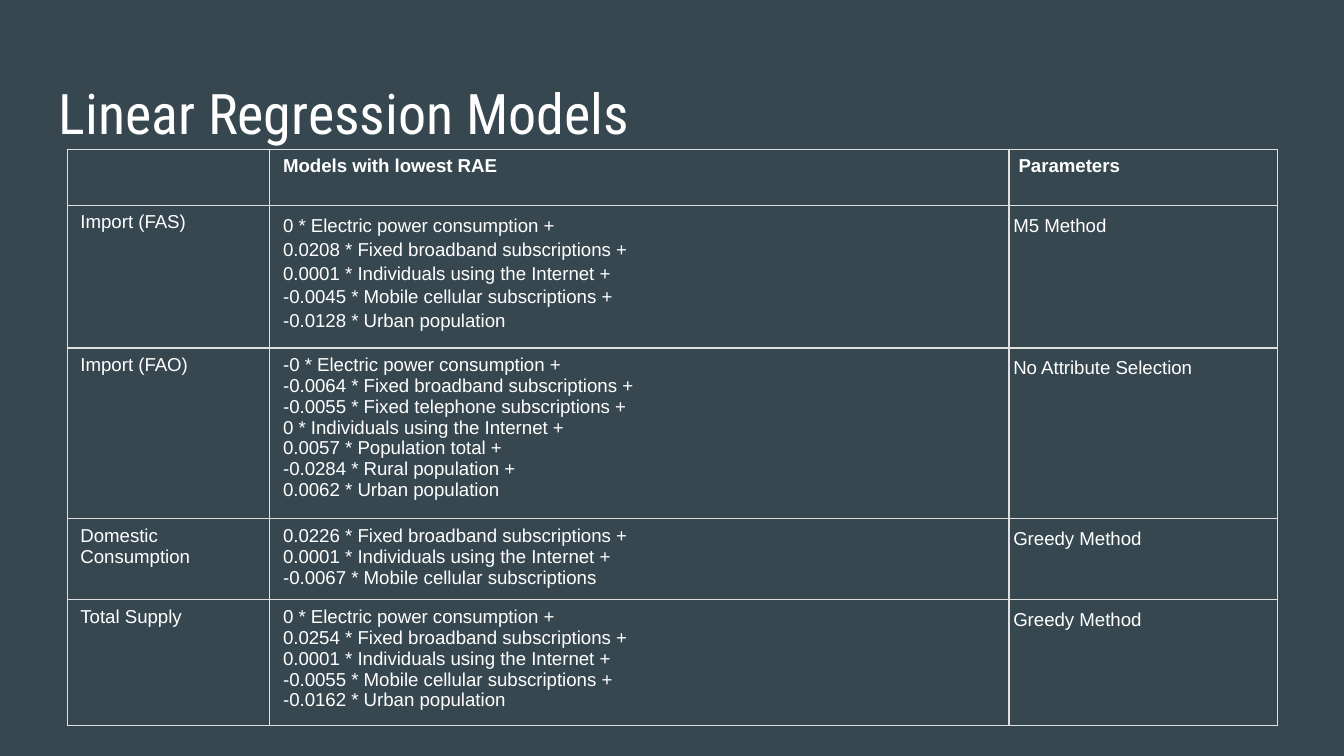
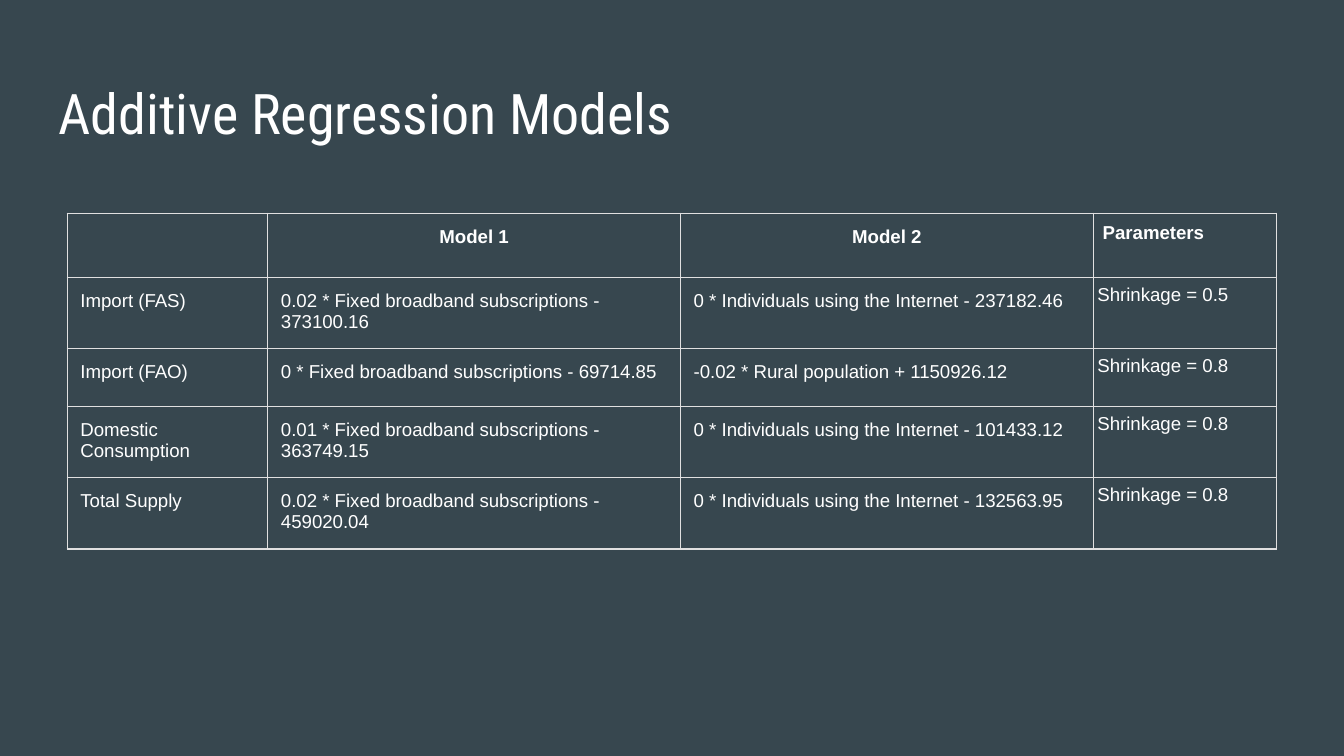
import pptx
import pptx.dml.color
import pptx.enum.text
import pptx.oxml
import pptx.oxml.ns
import pptx.util
from pptx.util import Cm, Pt

COLORS = {"background": "37474F", "text": "FFFFFF", "border": "E0E0E0"}
TITLE_FONT, BODY_FONT = "Roboto Condensed", "Arial"
ALIGN = pptx.enum.text.PP_ALIGN
ANCHOR = pptx.enum.text.MSO_ANCHOR

TABLE_LEFT = 1.27
WIDE_INSET, HEADER_INSET, NARROW_INSET = 0.25, 0.18, 0.08

# The last two columns of each table are merged into one "Parameters" column.
# Each cell is a string, or a list with one string per paragraph.
SLIDES = [
    {
        "title": "Linear Regression Models",
        "top": 2.82,
        "columns": [3.83, 13.97, 2.54, 2.54],
        "row_heights": [1.06] * 5,
        "vertical_inset": 0.13,
        "header_bottom": 0,
        "header_align": ALIGN.LEFT,
        "model_spacing": {"Import (FAS)": 1.15},
        "rows": [
            ["", "Models with lowest RAE", "Parameters"],
            ["Import (FAS)", [
                "0 * Electric power consumption +",
                "0.0208 * Fixed broadband subscriptions +",
                "0.0001 * Individuals using the Internet +",
                "-0.0045 * Mobile cellular subscriptions +",
                "-0.0128 * Urban population",
            ], "M5 Method"],
            ["Import (FAO)", [
                "-0 * Electric power consumption +",
                "-0.0064 * Fixed broadband subscriptions +",
                "-0.0055 * Fixed telephone subscriptions +",
                "0 * Individuals using the Internet +",
                "0.0057 * Population total +",
                "-0.0284 * Rural population +",
                "0.0062 * Urban population",
            ], "No Attribute Selection"],
            ["Domestic Consumption", [
                "0.0226 * Fixed broadband subscriptions +",
                "0.0001 * Individuals using the Internet +",
                "-0.0067 * Mobile cellular subscriptions",
            ], "Greedy Method"],
            ["Total Supply", [
                "0 * Electric power consumption +",
                "0.0254 * Fixed broadband subscriptions +",
                "0.0001 * Individuals using the Internet +",
                "-0.0055 * Mobile cellular subscriptions +",
                "-0.0162 * Urban population",
            ], "Greedy Method"],
        ],
    },
    {
        "title": "Additive Regression Models",
        "top": 4.03,
        "columns": [3.79, 7.8, 7.8, 0.91, 2.56],
        "row_heights": [1.21] + [1.09] * 4,
        "header_align": ALIGN.CENTER,
        "rows": [
            ["", "Model 1", "Model 2", "Parameters"],
            ["Import (FAS)", "0.02 * Fixed broadband subscriptions - 373100.16",
             "0 * Individuals using the Internet - 237182.46", "Shrinkage = 0.5"],
            ["Import (FAO)", "0 * Fixed broadband subscriptions - 69714.85",
             "-0.02 * Rural population + 1150926.12", "Shrinkage = 0.8"],
            ["Domestic Consumption", "0.01 * Fixed broadband subscriptions - 363749.15",
             "0 * Individuals using the Internet - 101433.12", "Shrinkage = 0.8"],
            ["Total Supply", "0.02 * Fixed broadband subscriptions - 459020.04",
             "0 * Individuals using the Internet - 132563.95", "Shrinkage = 0.8"],
        ],
    },
]


def color(name):
    return pptx.dml.color.RGBColor.from_string(COLORS[name])


def write_text(text_frame, text, *, size=10, font=BODY_FONT, bold=False,
               align=ALIGN.LEFT, spacing=None):
    lines = [text] if isinstance(text, str) else text
    for index, line in enumerate(lines):
        paragraph = text_frame.add_paragraph() if index else text_frame.paragraphs[0]
        paragraph.alignment = align
        if spacing:
            paragraph.line_spacing = spacing
        run = paragraph.add_run()
        run.text = line
        run.font.size = Pt(size)
        run.font.name = font
        run.font.bold = bold
        run.font.color.rgb = color("text")


def add_title(slide, text):
    box = slide.shapes.add_textbox(Cm(0.86), Cm(1.24), Cm(23.67), Cm(1.6))
    text_frame = box.text_frame
    text_frame.word_wrap = True
    text_frame.vertical_anchor = ANCHOR.TOP
    text_frame.margin_left = text_frame.margin_right = Cm(WIDE_INSET)
    text_frame.margin_top = text_frame.margin_bottom = Cm(WIDE_INSET)
    write_text(text_frame, text, size=30, font=TITLE_FONT)


def style_cell(cell):
    """Draw all four borders and leave the cell unfilled."""
    properties = cell._tc.get_or_add_tcPr()
    for side in ("lnL", "lnR", "lnT", "lnB"):
        properties.append(pptx.oxml.parse_xml(
            f'<a:{side} {pptx.oxml.ns.nsdecls("a")} w="{Pt(0.75)}"><a:solidFill>'
            f'<a:srgbClr val="{COLORS["border"]}"/></a:solidFill></a:{side}>'))
    cell.fill.background()


def fill_cell(cell, text, content, row_index, column_index):
    header = row_index == 0
    parameter = column_index == len(content["rows"][0]) - 1
    inset = WIDE_INSET
    if parameter:
        inset = HEADER_INSET if header else NARROW_INSET
    vertical = content.get("vertical_inset", inset)
    cell.margin_left = cell.margin_right = Cm(inset)
    cell.margin_top = Cm(vertical)
    cell.margin_bottom = Cm(content.get("header_bottom", vertical) if header else vertical)

    spacing = None
    if parameter and not header:
        spacing = 1.15
    elif column_index and not header:
        spacing = content.get("model_spacing", {}).get(content["rows"][row_index][0])
    align = content["header_align"] if header and not parameter else ALIGN.LEFT
    write_text(cell.text_frame, text, bold=header, align=align, spacing=spacing)


def add_model_table(slide, content):
    columns, heights = content["columns"], content["row_heights"]
    frame = slide.shapes.add_table(
        len(heights), len(columns), Cm(TABLE_LEFT), Cm(content["top"]),
        Cm(sum(columns)), Cm(sum(heights)))
    table = frame.table
    table.first_row = table.horz_banding = False
    for column, width in zip(table.columns, columns):
        column.width = Cm(width)
    for row, height in zip(table.rows, heights):
        row.height = Cm(height)
    for cell in table.iter_cells():
        style_cell(cell)
    last = len(columns) - 1
    for row_index, row in enumerate(content["rows"]):
        table.cell(row_index, last - 1).merge(table.cell(row_index, last))
        for column_index, text in enumerate(row):
            if text:
                fill_cell(table.cell(row_index, column_index), text, content,
                          row_index, column_index)


def main():
    presentation = pptx.Presentation()
    presentation.slide_width, presentation.slide_height = Cm(25.4), Cm(14.29)
    for content in SLIDES:
        slide = presentation.slides.add_slide(presentation.slide_layouts[6])
        slide.background.fill.solid()
        slide.background.fill.fore_color.rgb = color("background")
        add_title(slide, content["title"])
        add_model_table(slide, content)
    presentation.save("out.pptx")


if __name__ == "__main__":
    main()
